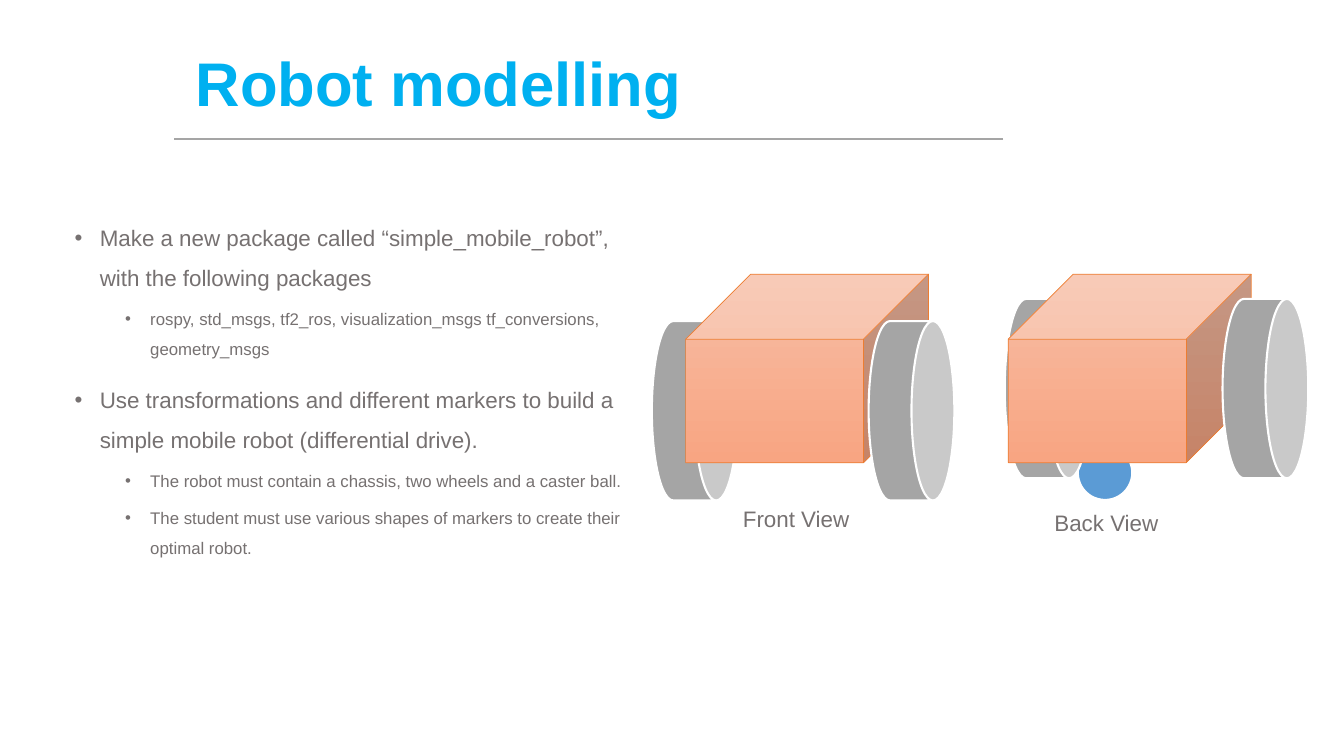
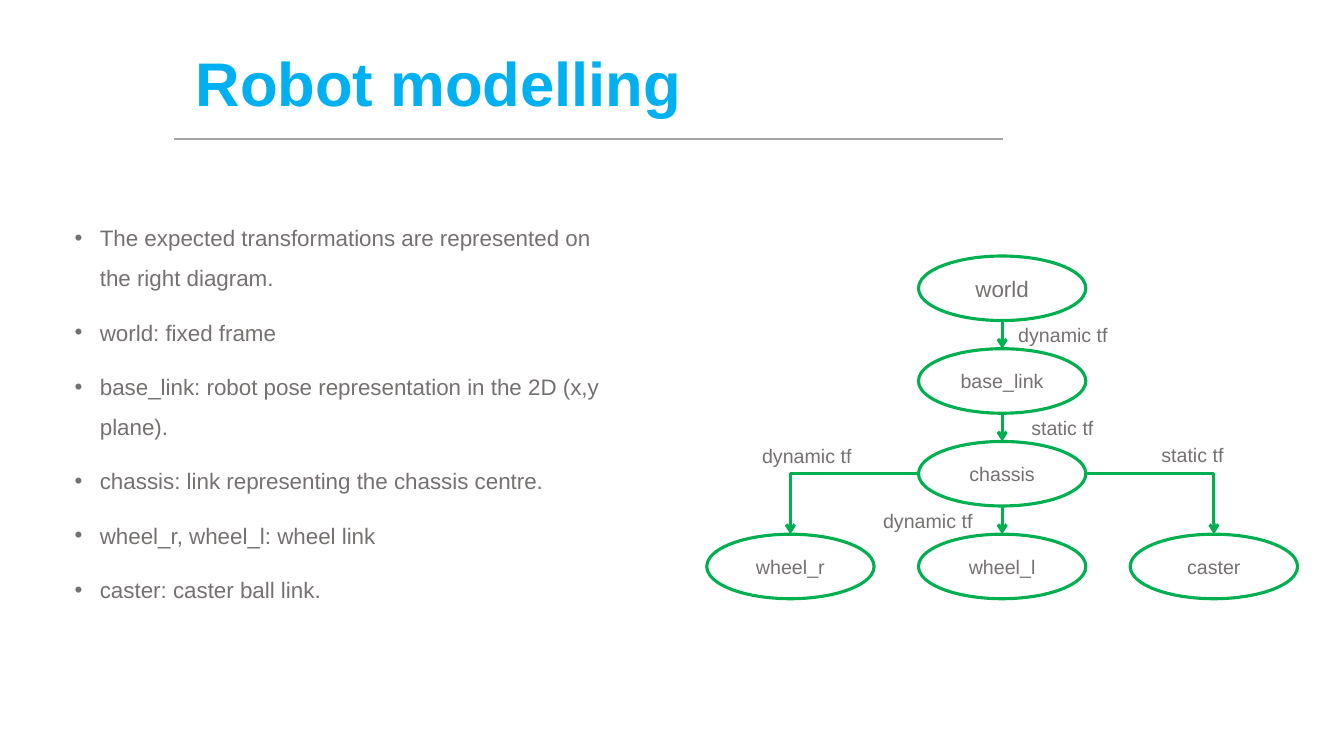
from lxml import etree
from pptx import Presentation
from pptx.dml.color import RGBColor
from pptx.enum.shapes import MSO_CONNECTOR, MSO_SHAPE
from pptx.enum.text import MSO_ANCHOR, MSO_AUTO_SIZE, PP_ALIGN
from pptx.oxml.ns import qn
from pptx.util import Pt

OVAL, CAN, CUBE = MSO_SHAPE.OVAL, MSO_SHAPE.CAN, MSO_SHAPE.CUBE
LINE, ELBOW = MSO_CONNECTOR.STRAIGHT, MSO_CONNECTOR.ELBOW
LEFT, CENTER = PP_ALIGN.LEFT, PP_ALIGN.CENTER
TOP, MIDDLE = MSO_ANCHOR.TOP, MSO_ANCHOR.MIDDLE
FIXED, GROW = MSO_AUTO_SIZE.NONE, MSO_AUTO_SIZE.SHAPE_TO_FIT_TEXT

SCALE = 9144
FONT = "Arial"
COLORS = {
    "title": "00B0F0", "text": "767171", "gray": "A5A5A5", "white": "FFFFFF",
    "ball": "5B9BD5", "edge": "ED7D31", "light": "F7BDA5", "deep": "F8A582",
    "green": "00B050",
}
NODE_W, NODE_H = 166, 64


def px(*sizes):
    return [size * SCALE for size in sizes]


def color(name):
    return RGBColor.from_string(COLORS[name])


class Deck:
    def __init__(self):
        self.prs = Presentation()
        self.prs.slide_width, self.prs.slide_height = px(1333, 750)
        self.slide = None

    def start(self, title, items):
        self.slide = self.prs.slides.add_slide(self.prs.slide_layouts[1])
        self.line((995, 138), (173, 138), "gray", 1.5)
        self.title(title)
        self.list(items)

    def place(self, shape, box, anchor):
        shape.left, shape.top, shape.width, shape.height = px(*box)
        frame = shape.text_frame
        frame.word_wrap = True
        frame.auto_size = FIXED
        frame.vertical_anchor = anchor
        return frame

    def style(self, para, size, tone="text", bold=False):
        font = para.font
        font.name, font.size, font.bold = FONT, Pt(size), bold
        font.color.rgb = color(tone)

    def title(self, text):
        frame = self.place(self.slide.shapes.title, (184, 13, 892, 145), MIDDLE)
        frame.text = text
        para = frame.paragraphs[0]
        para.alignment = LEFT
        para.line_spacing = 0.9
        self.style(para, 44, "title", True)

    def list(self, items):
        frame = self.place(self.slide.placeholders[1], (64, 204, 567, 476), TOP)
        frame.text = "\n".join(text for level, text in items)
        for para, (level, text) in zip(frame.paragraphs, items):
            para.level = level
            para.line_spacing = 1.5
            para.space_before = Pt(5 if level else 10)
            props = para._p.get_or_add_pPr()
            margin, indent = px(75 if level else 25, -25)
            props.set("marL", str(margin))
            props.set("indent", str(indent))
            etree.SubElement(props, qn("a:buChar")).set("char", "•")
            self.style(para, 12 if level else 16)

    def label(self, text, x, y, w, h, size):
        box = self.slide.shapes.add_textbox(*px(x, y, w, h))
        frame = box.text_frame
        frame.word_wrap = True
        frame.auto_size = GROW
        frame.text = text
        self.style(frame.paragraphs[0], size)

    def shape(self, kind, x, y, w, h, fill, line, width):
        shape = self.slide.shapes.add_shape(kind, *px(x, y, w, h))
        shape.shadow.inherit = False
        if fill:
            shape.fill.solid()
            shape.fill.fore_color.rgb = color(fill)
        else:
            shape.fill.background()
        shape.line.color.rgb = color(line)
        shape.line.width = Pt(width)
        return shape

    def ball(self, x, y, size):
        self.shape(OVAL, x, y, size, size, "ball", "white", 1.5)

    def wheel(self, x, y):
        can = self.shape(CAN, x, y, 178, 85, "gray", "white", 1.5)
        can.rotation = 90
        can.adjustments[0] = 0.5

    def body(self, x, y):
        cube = self.shape(CUBE, x, y, 241, 187, "light", "edge", 0.5)
        cube.adjustments[0] = 0.345
        cube.fill.gradient()
        cube.fill.gradient_angle = 270
        for stop, tone in zip(cube.fill.gradient_stops, ("light", "deep")):
            stop.color.rgb = color(tone)

    def node(self, text, x, y, size):
        oval = self.shape(OVAL, x, y, NODE_W, NODE_H, None, "green", 2.25)
        frame = oval.text_frame
        frame.vertical_anchor = MIDDLE
        frame.text = text
        para = frame.paragraphs[0]
        para.alignment = CENTER
        self.style(para, size)

    def line(self, start, end, tone, width, kind=LINE):
        line = self.slide.shapes.add_connector(kind, *px(*start, *end))
        line.line.color.rgb = color(tone)
        line.line.width = Pt(width)
        props = line._element.spPr
        etree.SubElement(props, qn("a:effectLst"))
        return line

    def arrow(self, start, end, kind=LINE):
        line = self.line(start, end, "green", 2.25, kind)
        if kind == ELBOW:
            line._element.spPr.find(qn("a:prstGeom")).set("prst", "bentConnector2")
        tail = etree.SubElement(line.line._get_or_add_ln(), qn("a:tailEnd"))
        tail.set("type", "arrow")


def robot(deck):
    deck.start("Robot modelling", [
        (0, "Make a new package called “simple_mobile_robot”, with the following packages"),
        (1, "rospy, std_msgs, tf2_ros, visualization_msgs tf_conversions, geometry_msgs"),
        (0, "Use transformations and different markers to build a simple mobile robot (differential drive)."),
        (1, "The robot must contain a chassis, two wheels and a caster ball."),
        (1, "The student must use various shapes of markers to create their optimal robot."),
    ])
    deck.ball(1069, 442, 54)
    for text, far, near, wheel_y, body_x, label_x, label_y in (
        ("Front View", 600, 815, 365, 680, 727, 496),
        ("Back View", 950, 1166, 343, 1000, 1036, 500),
    ):
        deck.wheel(far, wheel_y)
        deck.body(body_x, 272)
        deck.wheel(near, wheel_y)
        deck.label(text, label_x, label_y, 143, 37, 16)


def frames(deck):
    deck.start("Robot modelling", [(0, text) for text in (
        "The expected transformations are represented on the right diagram.",
        "world: fixed frame",
        "base_link: robot pose representation in the 2D (x,y plane).",
        "chassis: link representing the chassis centre.",
        "wheel_r, wheel_l: wheel link",
        "caster: caster ball link.",
    )])
    cols = [701 + 210 * col for col in range(3)]
    rows = [254 + 92 * row for row in range(4)]
    for text, col, row, size in (
        ("world", 1, 0, 16), ("base_link", 1, 1, 14), ("chassis", 1, 2, 14),
        ("wheel_r", 0, 3, 14), ("wheel_l", 1, 3, 14), ("caster", 2, 3, 14),
    ):
        deck.node(text, cols[col], rows[row], size)
    mids = [x + NODE_W // 2 for x in cols]
    for upper, lower in zip(rows, rows[1:]):
        deck.arrow((mids[1], upper + NODE_H), (mids[1], lower))
    side = rows[2] + NODE_H // 2
    for start, end in ((cols[1], mids[0]), (cols[1] + NODE_W, mids[2])):
        deck.arrow((start, side), (end, rows[3]), ELBOW)
    for text, x, y in (
        ("dynamic tf", 1000, 315), ("static tf", 1013, 408),
        ("dynamic tf", 746, 435), ("static tf", 1142, 434),
        ("dynamic tf", 866, 500),
    ):
        deck.label(text, x, y, 151, 34, 14)


def main():
    deck = Deck()
    robot(deck)
    frames(deck)
    deck.prs.save("out.pptx")


if __name__ == "__main__":
    main()
